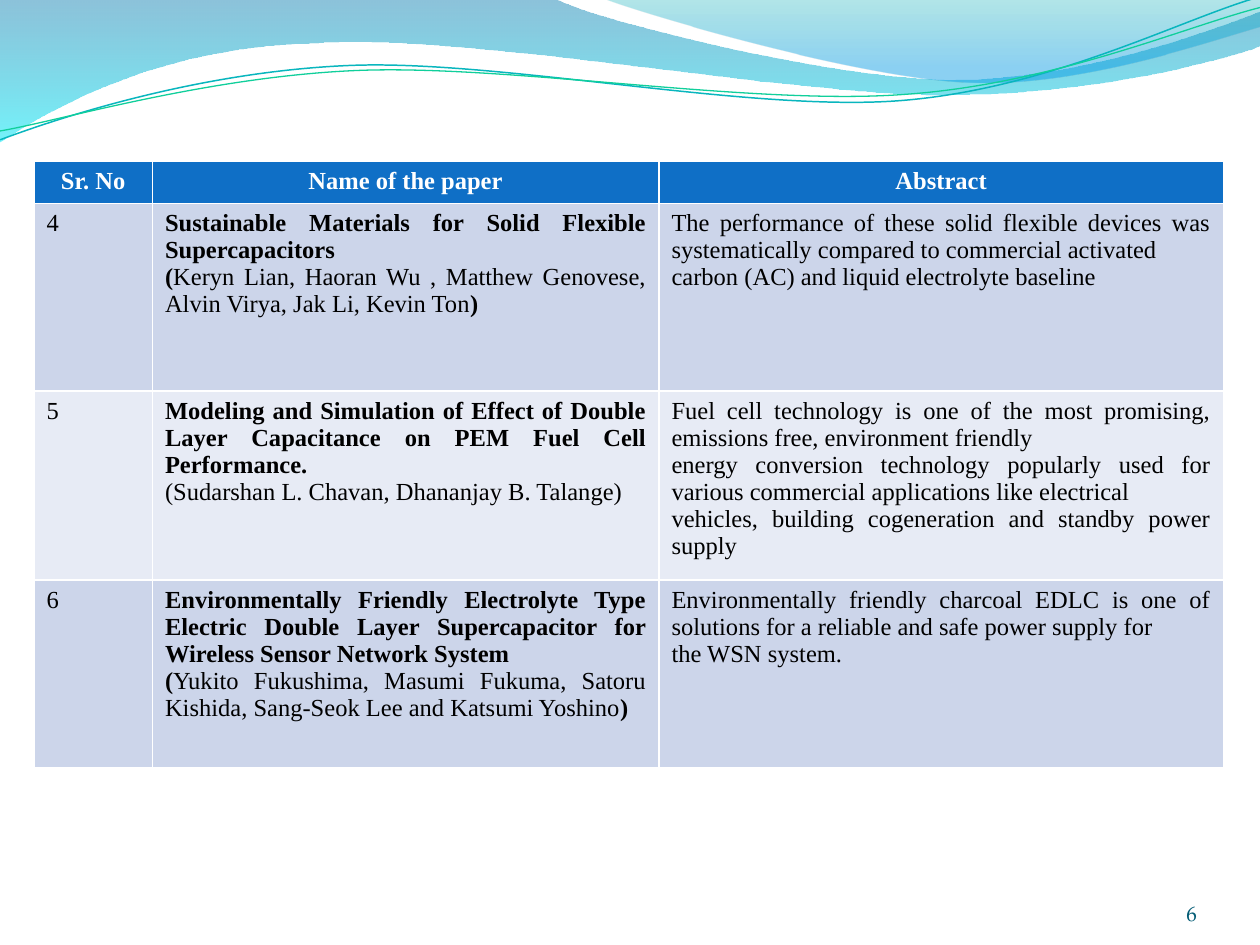
from math import cos, radians, sin

from pptx import Presentation
from pptx.dml.color import RGBColor
from pptx.enum.text import MSO_ANCHOR as Anchor, PP_ALIGN as Align
from pptx.oxml import parse_xml
from pptx.oxml.ns import nsdecls
from pptx.util import Emu, Inches, Pt

COLORS = {
    "white": "FFFFFF", "black": "000000", "header": "0F6FC6",
    "band": "CCD5EA", "light": "E7EBF5", "number": "035C75",
    "teal": "09B6BE", "green": "10CF9B",
}
SERIF, PAGE_FONT = "Times New Roman", "TeX Gyre Pagella"
GRID_COLS, GRID_ROWS = 10, 7.5
TILT = -2.7

WIDE_WAVE = [
    (0, 0), (4.4, -0.01), (4.76, 0.17, 6.64, 0.63, 7.58, 0.63),
    (8.53, 0.63, 9.58, 0.26, 10, 0.09), (10.01, 0.36),
    (9.83, 0.44, 8.7, 0.76, 7.46, 0.75), (6.22, 0.75, 3.82, 0.28, 2.57, 0.34),
    (1.29, 0.36, 0.46, 0.83, -0.01, 1.13), (0, 0),
]
CORNER_WAVE = [
    (4.79, -0.01), (5.09, 0.11, 6.82, 0.62, 7.69, 0.65),
    (8.56, 0.69, 9.61, 0.32, 10, 0.21), (10, 0), (4.79, -0.01),
]
TEAL_LINE = [
    (0, 1.11), (0.48, 0.93, 1.58, 0.57, 2.77, 0.52),
    (3.95, 0.47, 5.93, 0.89, 7.13, 0.8), (8.33, 0.71, 9.38, 0.15, 9.98, -0.02),
]
GREEN_LINE = [
    (0, 1.04), (0.47, 0.96, 1.64, 0.61, 2.83, 0.56),
    (4.03, 0.51, 5.97, 0.84, 7.17, 0.75), (8.36, 0.67, 9.41, 0.21, 10, 0.06),
]

HEADERS = ["Sr. No", "Name of the paper", "Abstract"]
PAPERS = [
    ("4", "Sustainable Materials for Solid Flexible Supercapacitors",
     [("(", True), ("Keryn Lian, Haoran Wu , Matthew Genovese, Alvin Virya, Jak Li, Kevin Ton", False),
      (")", True)],
     ["The performance of these solid flexible devices was systematically compared to commercial activated ",
      "carbon (AC) and liquid electrolyte baseline"]),
    ("5", "Modeling and Simulation of Effect of Double Layer Capacitance on PEM Fuel Cell Performance.",
     [("(Sudarshan L. Chavan, Dhananjay B. Talange)", False)],
     ["Fuel cell technology is one of the most promising, emissions free, environment friendly ",
      "energy conversion technology popularly used for various commercial applications like electrical ",
      "vehicles, building cogeneration and standby power supply"]),
    ("6", "Environmentally Friendly Electrolyte Type Electric Double Layer Supercapacitor "
          "for Wireless Sensor Network System",
     [("(", True), ("Yukito Fukushima, Masumi Fukuma, Satoru Kishida, Sang-Seok Lee and Katsumi Yoshino", False),
      (")", True)],
     ["Environmentally friendly charcoal EDLC is one of solutions for a reliable and safe power supply for ",
      "the WSN system."]),
]


def write(tf, paragraphs, size=14, font=SERIF, color="black", align=Align.JUSTIFY):
    """Fill a text frame with paragraphs, each a list of (text, bold) runs."""
    for i, runs in enumerate(paragraphs):
        p = tf.add_paragraph() if i else tf.paragraphs[0]
        p.alignment = align
        for text, bold in runs:
            r = p.add_run()
            r.text = text
            r.font.size, r.font.name, r.font.bold = Pt(size), font, bold
            r.font.color.rgb = RGBColor.from_string(COLORS[color])


def pairs(part):
    """Split a flat tuple into (x, y) points."""
    return list(zip(part[::2], part[1::2]))


def rotate(path, center, degrees):
    """Turn every point of a path clockwise around a center."""
    (cx, cy), c, s = center, cos(radians(degrees)), sin(radians(degrees))
    return [tuple(v for a, b in pairs(part) for v in (
        cx + (a - cx) * c - (b - cy) * s, cy + (a - cx) * s + (b - cy) * c)) for part in path]


class Deck:
    """Hold the style and the current slide."""

    def __init__(self):
        self.prs = Presentation()
        self.prs.slide_width, self.prs.slide_height = Inches(10), Inches(7.5)
        self.s = self.prs.slides.add_slide(self.prs.slide_layouts[6])

    def x(self, cols):
        return Emu(round(self.prs.slide_width * cols / GRID_COLS))

    def y(self, rows):
        return Emu(round(self.prs.slide_height * rows / GRID_ROWS))

    def outline(self, path, close):
        ends = [(self.x(part[-2]), self.y(part[-1])) for part in path]
        builder = self.s.shapes.build_freeform(*ends[0], scale=1.0)
        builder.add_line_segments(ends[1:], close=close)
        sp = builder.convert_to_shape()
        sp.shadow.inherit = False
        sp.fill.background()
        segments = list(sp.element.spPr.iter("{*}lnTo"))
        for segment, part in zip(segments, path[1:]):
            if len(part) == 6:
                pts = "".join(f'<a:pt x="{self.x(a) - sp.left}" y="{self.y(b) - sp.top}"/>'
                              for a, b in pairs(part))
                segment.getparent().replace(segment, parse_xml(
                    f'<a:cubicBezTo {nsdecls("a")}>{pts}</a:cubicBezTo>'))
        return sp

    def wave(self, path, stops):
        sp = self.outline(path, True)
        sp.line.fill.background()
        gs = "".join(
            f'<a:gs pos="{pos * 1000}"><a:srgbClr val="{color}">'
            f'<a:alpha val="{alpha * 1000}"/></a:srgbClr></a:gs>'
            for pos, color, alpha in stops)
        spPr = sp.element.spPr
        spPr.replace(spPr.find("{*}noFill"), parse_xml(
            f'<a:gradFill {nsdecls("a")} rotWithShape="1"><a:gsLst>{gs}</a:gsLst>'
            '<a:lin ang="5400000" scaled="0"/></a:gradFill>'))

    def curve(self, path, center, color, width):
        sp = self.outline(rotate(path, center, -TILT), False)
        sp.rotation = TILT
        sp.line.color.rgb = RGBColor.from_string(COLORS[color])
        sp.line.width = Pt(width)

    def text(self, text, col, row, cols, rows, **style):
        tf = self.s.shapes.add_textbox(self.x(col), self.y(row), self.x(cols), self.y(rows)).text_frame
        tf.word_wrap, tf.vertical_anchor = True, Anchor.BOTTOM
        tf.margin_left = tf.margin_right = tf.margin_top = tf.margin_bottom = 0
        write(tf, [[(text, False)]], **style)

    def table(self, col, row, widths, heights):
        table = self.s.shapes.add_table(
            len(heights), len(widths), self.x(col), self.y(row),
            self.x(sum(widths)), self.y(sum(heights))).table
        for column, width in zip(table.columns, widths):
            column.width = self.x(width)
        for line, height in zip(table.rows, heights):
            line.height = self.y(height)
        return table

    def cell(self, cell, paragraphs, fill, **style):
        cell.fill.solid()
        cell.fill.fore_color.rgb = RGBColor.from_string(COLORS[fill])
        write(cell.text_frame, paragraphs, **style)


def main():
    """Build the literature survey slide."""
    deck = Deck()
    deck.wave(WIDE_WAVE, [(0, "0079AD", 45), (100, "00E9F7", 55)])
    deck.wave(CORNER_WAVE, [(0, "00ABB4", 30), (80, "0099E4", 45), (100, "0099E4", 45)])
    deck.curve(TEAL_LINE, (4.99, 0.58), "teal", 0.85)
    deck.curve(GREEN_LINE, (5, 0.59), "green", 0.75)
    deck.text("6", 8.67, 6.95, 0.83, 0.4, size=12, font=PAGE_FONT, color="number", align=Align.RIGHT)
    table = deck.table(0.27, 1.28, [0.94, 4.02, 4.48], [0.32] + [1.49] * len(PAPERS))
    for j, header in enumerate(HEADERS):
        deck.cell(table.cell(0, j), [[(header, True)]], "header", color="white", align=Align.CENTER)
    for i, (number, title, authors, abstract) in enumerate(PAPERS, 1):
        contents = ([[(number, False)]], [[(title, True)], authors],
                    [[(line, False)] for line in abstract])
        for j, paragraphs in enumerate(contents):
            deck.cell(table.cell(i, j), paragraphs, "band" if i % 2 else "light")
    deck.prs.save("out.pptx")


if __name__ == "__main__":
    main()
